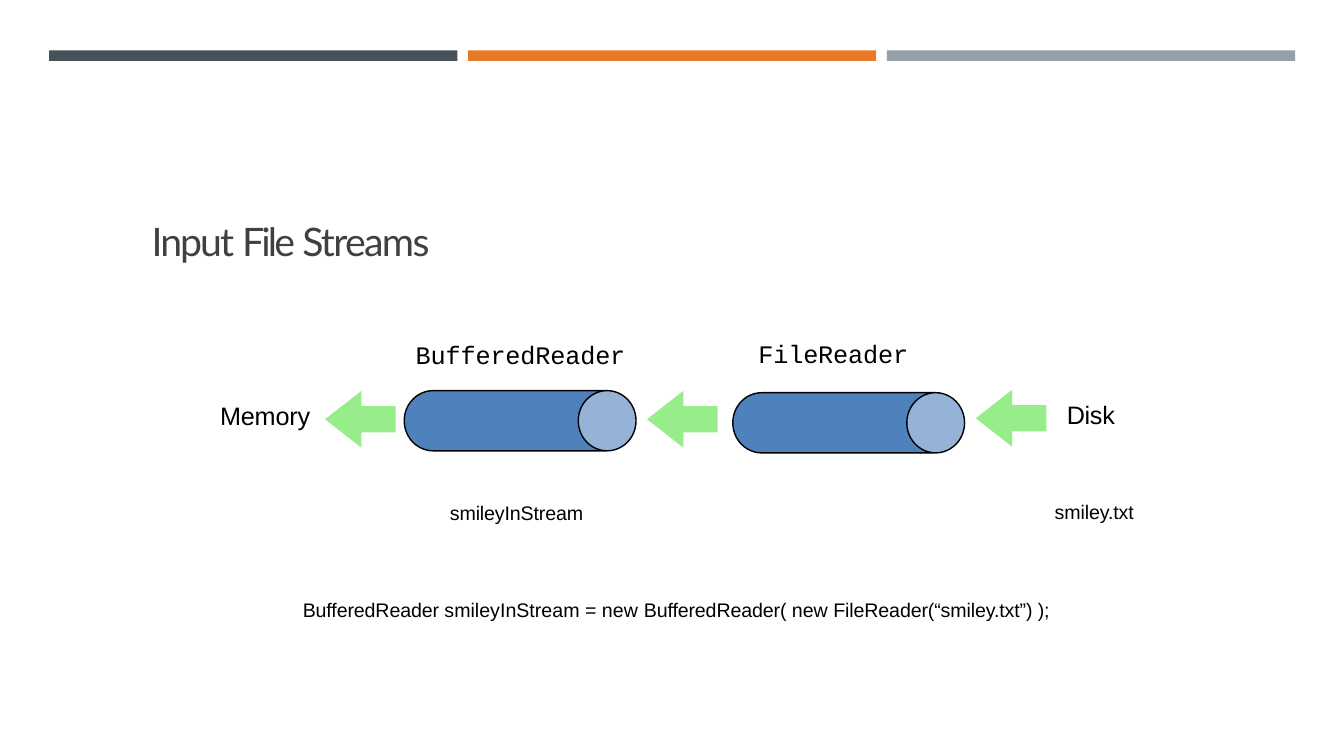
import pptx
import pptx.dml.color
import pptx.enum.shapes
import pptx.util

Pt = pptx.util.Pt
RGB = pptx.dml.color.RGBColor.from_string
SHAPE = pptx.enum.shapes.MSO_SHAPE

THEME = {
    "bars": ["465257", "E77929", "949FA7"],
    "title": "404040",
    "text": "000000",
    "pipe": "4F81BC",
    "arrow": "97ED89",
    "title_size": 28,
    "label_size": 18,
    "code_size": 14,
}

presentation = pptx.Presentation()
presentation.slide_width = Pt(960)
presentation.slide_height = Pt(540)
slide = presentation.slides.add_slide(presentation.slide_layouts[6])


def add_text(pieces, left, top, width, height, size, font="Arial", color=THEME["text"]):
    """Place one line made of (words, letter spacing in points) pieces."""
    box = slide.shapes.add_textbox(Pt(left), Pt(top), Pt(width), Pt(height))
    frame = box.text_frame
    frame.word_wrap = True
    frame.margin_left = frame.margin_top = Pt(1)
    frame.margin_right = frame.margin_bottom = 0
    line = frame.paragraphs[0]
    line.space_before = Pt(1)
    for words, spacing in pieces:
        run = line.add_run()
        run.text = words
        run.font.size = Pt(size)
        run.font.name = font
        run.font.color.rgb = RGB(color)
        run.font._element.set("spc", str(round(spacing * 100)))


def add_filled(kind, left, top, width, height, fill, outline=None):
    shape = slide.shapes.add_shape(kind, Pt(left), Pt(top), Pt(width), Pt(height))
    shape.shadow.inherit = False
    shape.fill.solid()
    shape.fill.fore_color.rgb = RGB(fill)
    if outline:
        shape.line.color.rgb = RGB(outline)
        shape.line.width = Pt(1)
    else:
        shape.line.fill.background()
    return shape


# Header bars
for column, bar_color in enumerate(THEME["bars"]):
    add_filled(SHAPE.RECTANGLE, 35.1 + column * 299.2, 36, 291.6, 7.5, bar_color)

# Title
add_text([("Input ", -1.4), ("File ", -2), ("Streams", -1.2)],
         107.3, 154.1, 206, 35.3, THEME["title_size"], "Lato", THEME["title"])

# Reader pipes: upright cans turned a quarter, so the lid faces right
pipe_length, pipe_bore = 165.6, 43
for left, top in [(288.7, 279), (523.4, 280.5)]:
    pipe = add_filled(SHAPE.CAN, left + (pipe_length - pipe_bore) / 2,
                      top - (pipe_length - pipe_bore) / 2,
                      pipe_bore, pipe_length, THEME["pipe"], THEME["text"])
    pipe.adjustments[0] = 0.96
    pipe.rotation = 90

# Flow arrows from disk to memory
for left, top in [(232.2, 279.2), (462.2, 279.2), (697, 278.5)]:
    arrow = add_filled(SHAPE.LEFT_ARROW, left, top, 50.4, 40.6, THEME["arrow"])
    arrow.adjustments[0] = 0.46
    arrow.adjustments[1] = 0.64

# Reader names and endpoints
for words, left, top, width, spacing, font in [
    ("BufferedReader", 295.9, 241.6, 152.6, -0.1, "Courier New"),
    ("FileReader", 540.7, 240.7, 109.4, -0.1, "Courier New"),
    ("Disk", 761, 284.4, 37, -0.2, "Arial"),
    ("Memory", 156.2, 285.1, 67, -0.1, "Arial"),
]:
    add_text([(words, spacing)], left, top, width, 23.8, THEME["label_size"], font)

# Stream variable, file name and the statement that joins them
statement = [
    ("BufferedReader ", -0.1), ("smileyInStream = new ", 0), ("BufferedReader( ", -0.1),
    ("new ", 0), ("FileReader(“smiley.txt”) ", -0.1), (");", -0.2),
]
for pieces, left, top, width in [
    ([("smileyInStream", -0.1)], 320.4, 356.8, 98.6),
    ([("smiley.txt", -0.1)], 752.4, 356, 59),
    (statement, 215.3, 426.2, 538.6),
]:
    add_text(pieces, left, top, width, 18.7, THEME["code_size"])

presentation.save("out.pptx")
